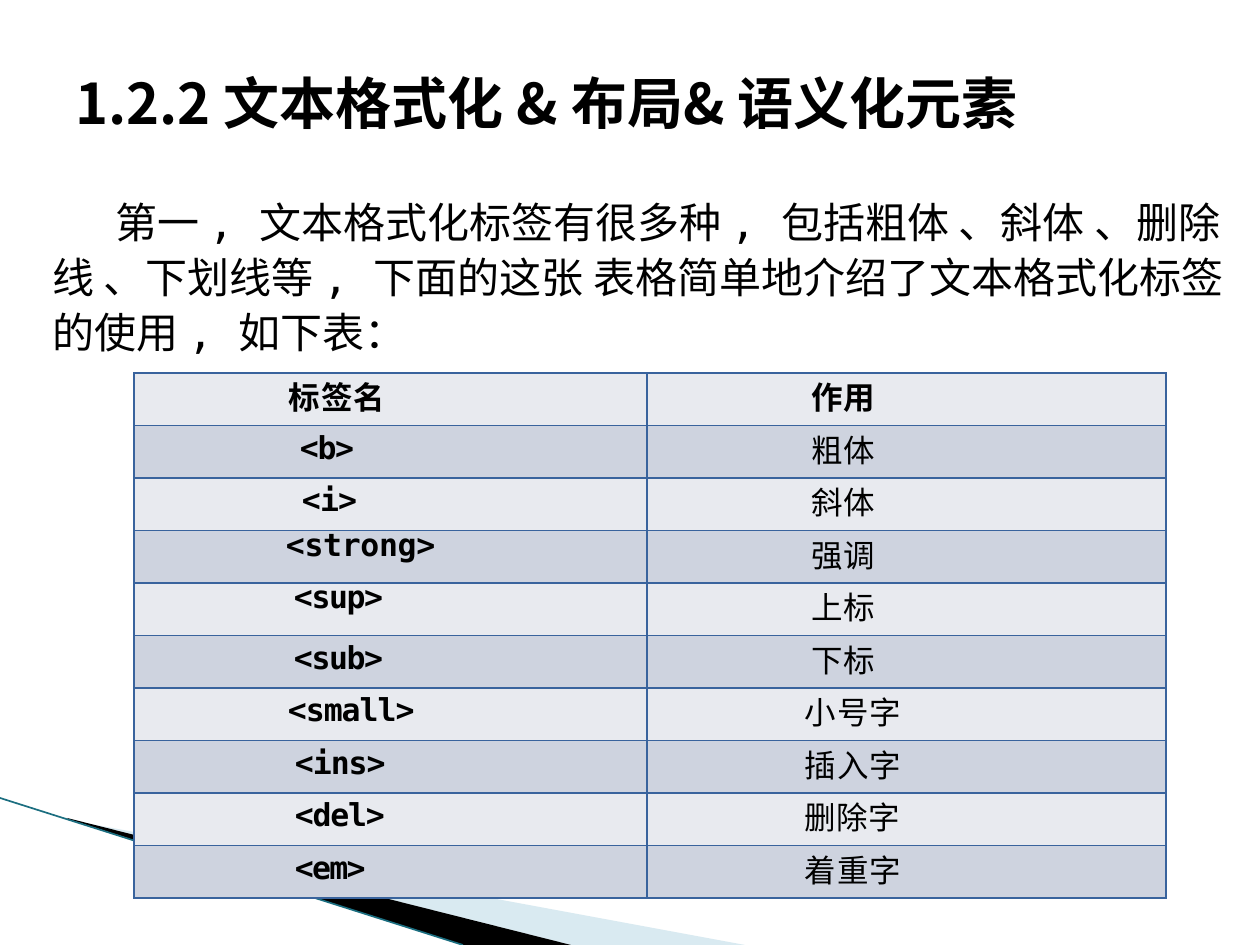
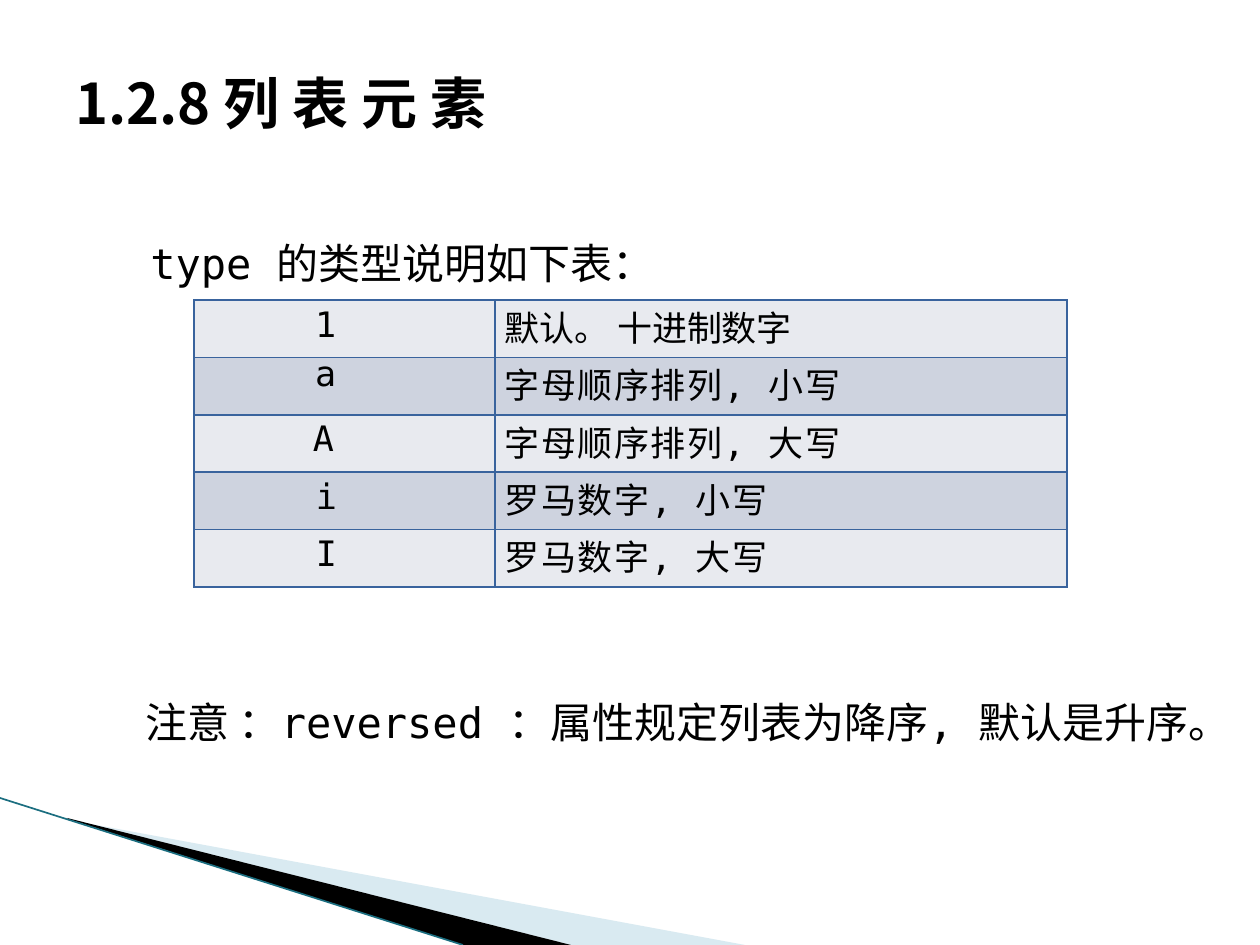
"""Build two slides on HTML text formatting tags and list types."""
from lxml.etree import SubElement
from pptx import Presentation
from pptx.dml.color import RGBColor
from pptx.enum.shapes import MSO_CONNECTOR
from pptx.enum.text import MSO_ANCHOR
from pptx.oxml.ns import qn
from pptx.util import Emu, Pt

SCALE = 914400 / 126
COLORS = {
    "text": "000000",
    "wedge": "000000",
    "pale": "A0CBDC",
    "edge": "1B6E80",
    "border": "39639D",
    "light": "E8EAEF",
    "dark": "CED3DF",
}
MONO = "DejaVu Sans Mono"
SANS = "Noto Sans CJK SC"


def px(n):
    return Emu(round(n * SCALE))


def add_run(p, text, size, font=MONO, bold=False, spacing=0):
    r = p.add_run()
    r.text = text
    r.font.size = Pt(size)
    r.font.name = font
    r.font.bold = bold
    r.font.color.rgb = RGBColor.from_string(COLORS["text"])
    rPr = r.font._element
    SubElement(rPr, qn("a:ea")).set("typeface", SANS)
    if spacing:
        rPr.set("spc", str(round(spacing * 100)))


prs = Presentation()
prs.slide_width, prs.slide_height = px(1260), px(945)

wedges = [
    ([(69, 820), (745, 945), (571, 945), (69, 819)], "pale"),
    ([(67, 818), (571, 945), (463, 945), (68, 819)], "wedge"),
]

tag_rows = [
    [("标签名", 155, 0.4, True), ("作用", 165, 0.3, True)],
    [("<b>", 166, -0.8, True), ("粗体", 165, 0.3, False)],
    [("<i>", 168, -0.5, True), ("斜体", 165, 0.3, False)],
    [("<strong>", 152, -0.2, True), ("强调", 165, 0.3, False)],
    [("<sup>", 160, -0.8, True), ("上标", 165, 0.3, False)],
    [("<sub>", 160, -0.8, True), ("下标", 165, 0.3, False)],
    [("<small>", 154, -0.6, True), ("小号字", 158, 0.4, False)],
    [("<ins>", 161, -0.6, True), ("插入字", 158, 0.4, False)],
    [("<del>", 161, -0.7, True), ("删除字", 158, 0.3, False)],
    [("<em>", 161, -1, True), ("着重字", 158, 0.4, False)],
]
type_rows = [
    [("1", 121, 0, False), ("默认。 十进制数字", 10, -0.1, False)],
    [("a", 121, 0, False), ("字母顺序排列, 小写", 10, 0.8, False)],
    [("A", 119, 0, False), ("字母顺序排列, 大写", 10, 0.8, False)],
    [("i", 122, 0, False), ("罗马数字, 小写", 10, 0.8, False)],
    [("I", 122, 0, False), ("罗马数字, 大写", 10, 0.8, False)],
]

slides = [
    {
        "title": "1.2.2 文本格式化 & 布局& 语义化元素",
        "texts": [
            ("第一 , 文本格式化标签有很多种 , 包括粗体 、斜体 、删除线 、下划线等 , "
             "下面的这张 表格简单地介绍了文本格式化标签的使用 , 如下表：",
             (25, 185, 1211, 189), 1.1),
        ],
        "box": (134, 373, 1032, 525),
        "cols": (513, 519),
        "rows": tag_rows,
        "size": 18,
        "latin": (0.69, 6.7),
        "cjk": (0.76, 5.6),
        "exact": {"<strong>": 7.9, "<sup>": 8},
    },
    {
        "title": "1.2.8 列 表 元 素",
        "texts": [
            ("type 的类型说明如下表：", (60, 231, 1181, 69), 1),
            ("注意 ：reversed ：属性规定列表为降序, 默认是升序。",
             (55, 690, 1181, 69), 1),
        ],
        "box": (194, 300, 873, 287),
        "cols": (301, 572),
        "rows": type_rows,
        "size": 20,
        "latin": (0.68, 7),
        "cjk": (0.82, 5.5),
        "exact": {"a": 9.4},
    },
]

for page in slides:
    s = prs.slides.add_slide(prs.slide_layouts[6])

    for points, color in wedges:
        fb = s.shapes.build_freeform(*points[0], scale=SCALE)
        fb.add_line_segments(points[1:], close=True)
        sp = fb.convert_to_shape()
        sp.shadow.inherit = False
        sp.fill.solid()
        sp.fill.fore_color.rgb = RGBColor.from_string(COLORS[color])
        sp.line.fill.background()
        if color == "pale":
            clr = sp._element.spPr.find(qn("a:solidFill"))[0]
            SubElement(clr, qn("a:alpha")).set("val", "40000")

    edge = s.shapes.add_connector(
        MSO_CONNECTOR.STRAIGHT, px(0), px(798), px(463), px(945))
    edge.line.color.rgb = RGBColor.from_string(COLORS["edge"])
    edge.line.width = Pt(0.95)
    SubElement(edge._element.spPr, qn("a:effectLst"))

    sp = s.shapes.add_textbox(px(63), px(38), px(1134), px(129))
    tf = sp.text_frame
    tf.word_wrap = True
    tf.vertical_anchor = MSO_ANCHOR.MIDDLE
    add_run(tf.paragraphs[0], page["title"], 32, SANS, True)

    for text, box, leading in page["texts"]:
        sp = s.shapes.add_textbox(*map(px, box))
        tf = sp.text_frame
        tf.word_wrap = True
        p = tf.paragraphs[0]
        p.line_spacing = leading
        p.space_before = Pt(4)
        pPr = p._p.get_or_add_pPr()
        pPr.set("marL", str(px(15)))
        pPr.set("indent", str(px(63)))
        add_run(p, text, 24)

    rows = page["rows"]
    tbl = s.shapes.add_table(len(rows), 2, *map(px, page["box"])).table
    tbl.first_row = tbl.horz_banding = False
    for col, width in zip(tbl.columns, page["cols"]):
        col.width = px(width)
    for i, row in enumerate(rows):
        for j, (text, indent, spacing, bold) in enumerate(row):
            cell = tbl.cell(i, j)
            cell.margin_left = px(indent)
            cell.margin_right = cell.margin_top = cell.margin_bottom = 0
            cell.vertical_anchor = MSO_ANCHOR.MIDDLE
            tcPr = cell._tc.get_or_add_tcPr()
            for side in ("lnL", "lnR", "lnT", "lnB"):
                ln = SubElement(tcPr, qn("a:" + side), w=str(Pt(1)))
                fill = SubElement(ln, qn("a:solidFill"))
                SubElement(fill, qn("a:srgbClr"), val=COLORS["border"])
            cell.fill.solid()
            cell.fill.fore_color.rgb = RGBColor.from_string(
                COLORS["dark" if i % 2 else "light"])
            p = cell.text_frame.paragraphs[0]
            leading, before = page["latin" if text.isascii() else "cjk"]
            exact = page["exact"].get(text)
            p.line_spacing = Pt(exact) if exact else leading
            p.space_before = Pt(before)
            add_run(p, text, page["size"], bold=bold, spacing=spacing)

prs.save("out.pptx")
